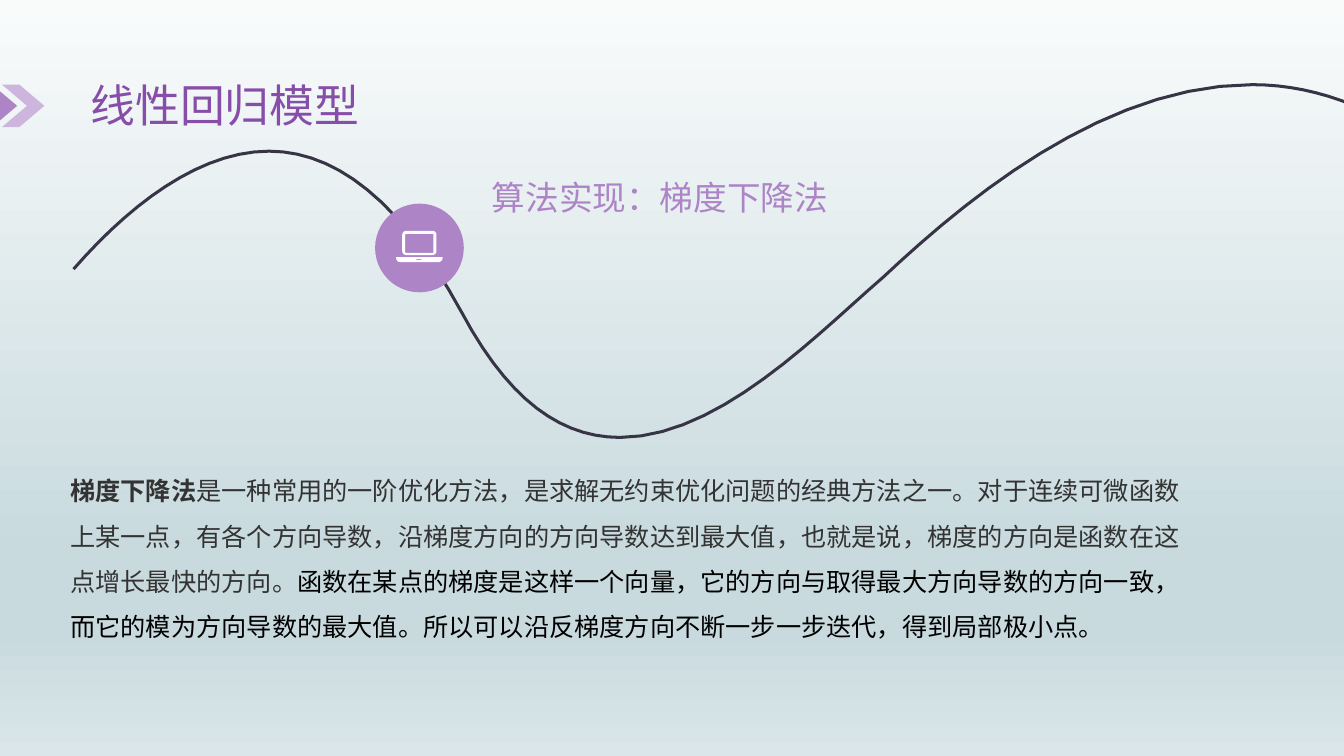
from copy import deepcopy
from itertools import pairwise
from math import cos, hypot, pi, sin

from lxml import etree
from pptx import Presentation
from pptx.dml.color import RGBColor
from pptx.enum.shapes import MSO_SHAPE as Preset
from pptx.enum.text import MSO_ANCHOR as Anchor, PP_ALIGN as Align
from pptx.oxml.ns import qn
from pptx.util import Inches, Pt

DARK_PURPLE = RGBColor(0x87, 0x4E, 0xA9)
PURPLE = RGBColor(0xAD, 0x84, 0xC6)
PALE_PURPLE = RGBColor(0xCE, 0xB5, 0xDD)
INK = RGBColor(0x37, 0x35, 0x45)
GREY = RGBColor(0x33, 0x33, 0x33)
BLACK = RGBColor(0, 0, 0)
WHITE = RGBColor(0xFF, 0xFF, 0xFF)
MIST = RGBColor(0xF9, 0xFB, 0xFB)
TEAL = RGBColor(0xC8, 0xDA, 0xDE)
PALE_TEAL = RGBColor(0xDA, 0xE6, 0xE9)
CJK = "Noto Sans CJK SC"

BACKDROP = [(0, MIST), (0.74, TEAL), (0.83, TEAL), (1, PALE_TEAL)]

# Each run: text, font, colour, bold
TITLE = [("线性回归模型", "Arial", DARK_PURPLE, False)]
SUBTITLE = [("算法实现：梯度下降法", CJK, PURPLE, False)]
EXPLANATION = [
    ("梯度下降法", "Open Sans", GREY, True),
    ("是一种常用的一阶优化方法，是求解无约束优化问题的经典方法之一。"
     "对于连续可微函数上某一点，有各个方向导数，沿梯度方向的方向导数达到最大值，"
     "也就是说，梯度的方向是函数在这点增长最快的方向。", "Open Sans", GREY, False),
    ("函数在某点的梯度是这样一个向量，它的方向与取得最大方向导数的方向一致，"
     "而它的模为方向导数的最大值。所以可以沿反梯度方向不断一步一步迭代，"
     "得到局部极小点。", CJK, BLACK, False),
]

CHEVRON_TOP, CHEVRON_SIZE = 0.84, 0.42
CHEVRONS = [(0.02, PALE_PURPLE), (-0.25, PURPLE)]

BADGE_LEFT, BADGE_TOP, BADGE_SIZE = 3.72, 2.02, 0.88

# Each knot: handle before, point on the wave, handle after
WAVE_KNOTS = [
    (None, (0.73, 2.67), (1.28, 2.04)),             # start
    ((1.97, 1.5), (2.67, 1.5), (3.32, 1.5)),        # first crest
    ((3.97, 1.98), (4.58, 3.1), (5.05, 3.98)),      # steepest descent
    ((5.57, 4.34), (6.15, 4.34), (7.13, 4.34)),     # minimum
    ((8.11, 3.31), (8.76, 2.75), (9.54, 2.02)),     # steepest climb
    ((10.92, 0.84), (12.42, 0.84), (13.01, 0.84)),  # second crest
    ((13.6, 1.05), (14.2, 1.48), None),             # end
]
WAVE_THICKNESS = 0.03
STEPS_PER_BEND = 14

# Laptop outlines: left, top, right, bottom, top radius, bottom radius
LAPTOP = {
    "base": (3.93, 2.55, 4.39, 2.6, 0, 0.04),
    "lid": (3.99, 2.29, 4.33, 2.53, 0.04, 0.04),
    "screen": (4.02, 2.32, 4.3, 2.51, 0.01, 0.01),
    "notch": (4.13, 2.57, 4.18, 2.58, 0, 0),
}


def paint(shape, colour):
    shape.fill.solid()
    shape.fill.fore_color.rgb = colour
    shape.line.fill.background()
    shape.shadow.inherit = False


def add_preset(slide, preset, left, top, size, colour):
    shape = slide.shapes.add_shape(
        preset, Inches(left), Inches(top), Inches(size), Inches(size))
    paint(shape, colour)
    return shape


def add_text(slide, box, runs, *, size, align=Align.LEFT, anchor=Anchor.TOP, spacing=None):
    frame = slide.shapes.add_textbox(*map(Inches, box)).text_frame
    frame.word_wrap = True
    frame.vertical_anchor = anchor
    paragraph = frame.paragraphs[0]
    paragraph.alignment = align
    paragraph.line_spacing = spacing
    for text, font, colour, bold in runs:
        run = paragraph.add_run()
        run.text = text
        run.font.size = Pt(size)
        run.font.bold = bold
        run.font.color.rgb = colour
        run.font.name = font
        latin = next(paragraph.runs[-1]._r.iter(qn("a:latin")))
        latin.addnext(etree.Element(qn("a:ea"), typeface=font))


def add_outline(slide, contours, colour):
    """Fill closed contours as one shape; inner contours become holes."""
    emu = [[(Inches(x), Inches(y)) for x, y in contour] for contour in contours]
    builder = slide.shapes.build_freeform(*emu[0][0])
    for start, *rest in emu:
        builder.move_to(*start)
        builder.add_line_segments(rest, close=True)
    paint(builder.convert_to_shape(), colour)


def bezier(start, leave, arrive, end, t):
    """Point at t, from 0 to 1, on a cubic curve."""
    s = 1 - t
    weights = s ** 3, 3 * s * s * t, 3 * s * t * t, t ** 3
    return tuple(sum(w * value for w, value in zip(weights, axis))
                 for axis in zip(start, leave, arrive, end))


def sample_wave():
    """Points along the smooth curve through the knots."""
    points = [WAVE_KNOTS[0][1]]
    for (_, start, leave), (arrive, end, _) in pairwise(WAVE_KNOTS):
        points += [bezier(start, leave, arrive, end, step / STEPS_PER_BEND)
                   for step in range(1, STEPS_PER_BEND + 1)]
    return points


def ribbon(centre, thickness):
    """Widen a line into a closed band along its normals."""
    upper, lower = [], []
    for i, (x, y) in enumerate(centre):
        (x0, y0), (x1, y1) = centre[max(i - 1, 0)], centre[min(i + 1, len(centre) - 1)]
        dx, dy = x1 - x0, y1 - y0
        half = thickness / 2 / hypot(dx, dy)
        upper.append((x + dy * half, y - dx * half))
        lower.append((x - dy * half, y + dx * half))
    return upper + lower[::-1]


def rounded(left, top, right, bottom, top_radius, bottom_radius, steps=6):
    """Points of a rectangle with rounded corners, clockwise from the left."""
    corners = [(left, top, 1, 1, top_radius), (right, top, -1, 1, top_radius),
               (right, bottom, -1, -1, bottom_radius), (left, bottom, 1, -1, bottom_radius)]
    points = []
    for quarter, (x, y, toward_x, toward_y, radius) in enumerate(corners):
        for step in range(steps + 1 if radius else 1):
            angle = pi + (quarter + step / steps) * pi / 2
            points.append((x + radius * (toward_x + cos(angle)),
                           y + radius * (toward_y + sin(angle))))
    return points


def paint_backdrop(slide):
    fill = slide.background.fill
    fill.gradient()
    fill.gradient_angle = 270
    stop_list = next(slide.element.iter(qn("a:gsLst")))
    while len(stop_list) < len(BACKDROP):
        stop_list.append(deepcopy(stop_list[0]))
    for stop, (position, colour) in zip(fill.gradient_stops, BACKDROP):
        stop.position = position
        stop.color.rgb = colour


def main():
    deck = Presentation()
    deck.slide_width, deck.slide_height = Inches(13.33), Inches(7.5)
    slide = deck.slides.add_slide(deck.slide_layouts[6])
    paint_backdrop(slide)

    add_text(slide, (0.8, 0.67, 3.23, 0.73), TITLE, size=32, anchor=Anchor.MIDDLE)
    for left, colour in CHEVRONS:
        chevron = add_preset(slide, Preset.CHEVRON, left, CHEVRON_TOP, CHEVRON_SIZE, colour)
        chevron.adjustments[0] = 0.59

    add_outline(slide, [ribbon(sample_wave(), WAVE_THICKNESS)], INK)

    add_preset(slide, Preset.OVAL, BADGE_LEFT, BADGE_TOP, BADGE_SIZE, PURPLE)
    add_text(slide, (4.48, 1.56, 3.83, 0.58), SUBTITLE, size=24,
             align=Align.RIGHT, anchor=Anchor.MIDDLE, spacing=1.5)
    add_outline(slide, [rounded(*part) for part in LAPTOP.values()], WHITE)

    add_text(slide, (0.6, 4.52, 11.34, 1.87), EXPLANATION, size=18, spacing=1.5)
    deck.save("out.pptx")


if __name__ == "__main__":
    main()
